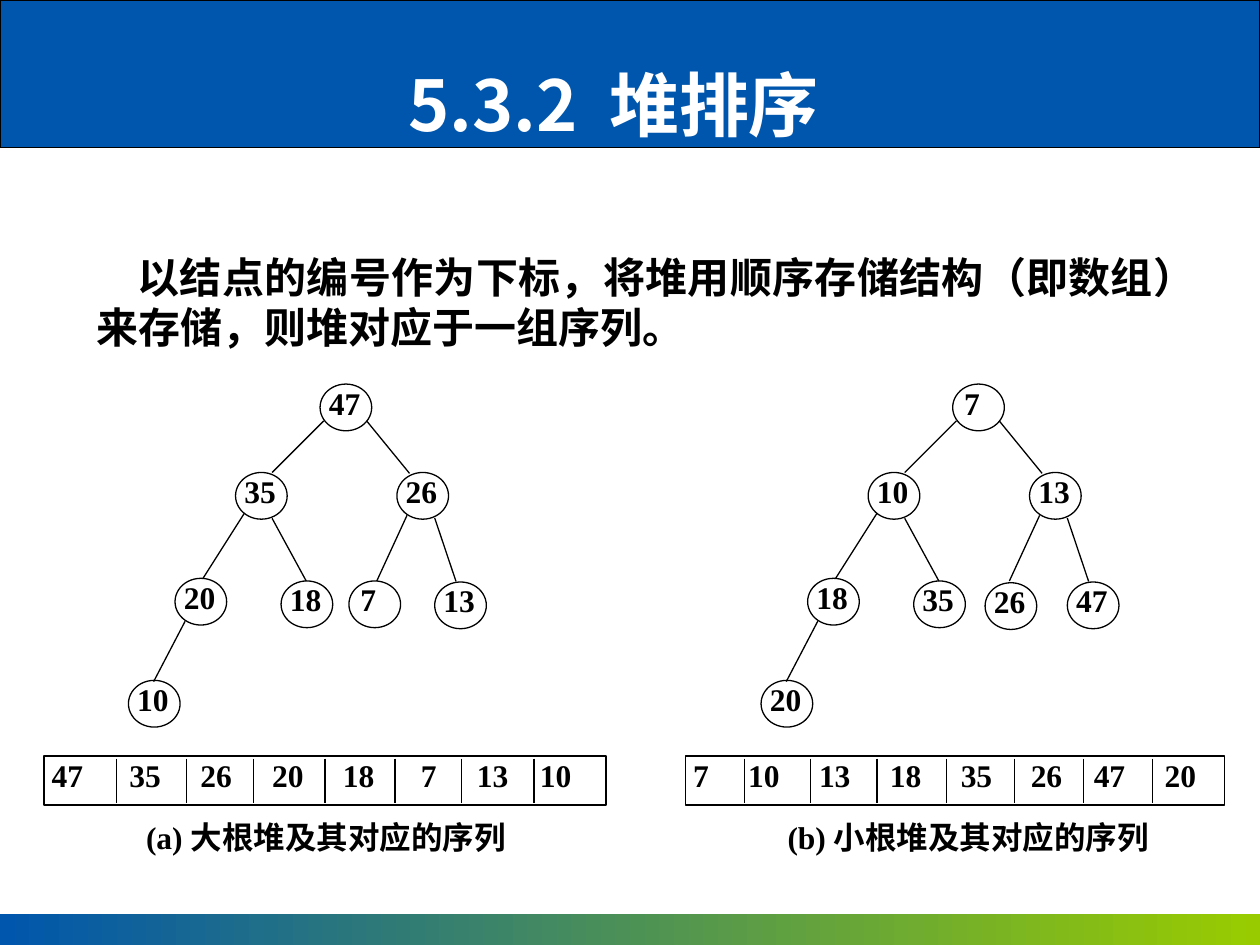
from dataclasses import dataclass

import pptx
import pptx.dml.color
import pptx.enum.shapes
import pptx.enum.text
import pptx.oxml
import pptx.oxml.ns
import pptx.util

Pt = pptx.util.Pt
RGB = pptx.dml.color.RGBColor.from_string
ALIGN = pptx.enum.text.PP_ALIGN
ANCHOR = pptx.enum.text.MSO_ANCHOR
SHAPE = pptx.enum.shapes.MSO_SHAPE
LINE = pptx.enum.shapes.MSO_CONNECTOR.STRAIGHT
qn = pptx.oxml.ns.qn


@dataclass(frozen=True)
class Theme:
    blue: str = "0056AC"
    green: str = "99CC00"
    ink: str = "000000"
    white: str = "FFFFFF"
    sans: str = "Noto Sans CJK SC"
    serif: str = "Times New Roman"
    title: int = 40
    body: int = 24
    label: int = 18
    stroke: float = 0.75


T = Theme()
WIDE, HIGH = 720, 540
TITLE = "5.3.2  堆排序"
BODY = "以结点的编号作为下标，将堆用顺序存储结构（即数组）来存储，则堆对应于一组序列。"

# Left tree in level order; the right tree is the same one moved sideways.
NODE = (29.5, 26.7)
NODES = [(182.9, 219.5), (134.6, 270), (226.8, 270), (100, 330.5),
         (160.6, 332), (199.4, 332), (248.4, 332.6), (73.4, 388.8)]
EDGES = [(185, 240.5, 155.5, 270), (209.5, 240.5, 234, 270.5),
         (139.7, 293.2, 116, 330.5), (155.5, 296.2, 175, 332),
         (232.6, 294.5, 215.3, 332), (248.4, 296, 260.6, 332.3),
         (105.8, 355, 87.8, 389.5)]

# cuts and tabs are measured from the left side of the array box
ROW_TOP, ROW_HIGH, ROW_PAD = 432, 28.1, 4.3
HEAPS = [
    dict(keys=[47, 35, 26, 20, 18, 7, 13, 10], move=0, nudge={},
         left=25.2, width=321.1,
         cuts=[41.4, 81.4, 119.5, 160.6, 200.5, 238.7, 280],
         tabs=[44.5, 85, 126, 166.5, 211, 243, 279],
         note="(a) 大根堆及其对应的序列", note_left=82.1, note_wide=240.5),
    dict(keys=[7, 10, 13, 18, 35, 26, 47, 20], move=361.5, nudge={5: (2, 1)},
         left=391.7, width=308.2,
         cuts=[33.8, 71.3, 109.4, 149, 187.9, 227.5, 267],
         tabs=[31.5, 72, 112.5, 153, 193, 229, 269.5],
         note="(b) 小根堆及其对应的序列", note_left=448.6, note_wide=219.6),
]


def write(shape, text, size, face, color=T.ink, align=ALIGN.JUSTIFY,
          pads=(7.2, 3.6, 7.2, 3.6), anchor=ANCHOR.TOP, pitch=None, tabs=()):
    frame = shape.text_frame
    frame.word_wrap = True
    frame.auto_size = pptx.enum.text.MSO_AUTO_SIZE.NONE
    frame.vertical_anchor = anchor
    (frame.margin_left, frame.margin_top,
     frame.margin_right, frame.margin_bottom) = map(Pt, pads)
    par = frame.paragraphs[0]
    par.text = text
    par.alignment = align
    par.space_before = Pt(0)
    if pitch:
        par.line_spacing = pitch
    props = par._p.get_or_add_pPr()
    if tabs:
        stops = pptx.oxml.ns.qn("a:tabLst")
        stops = props.makeelement(stops, {})
        props.append(stops)
        for pos in tabs:
            stops.append(stops.makeelement(
                qn("a:tab"), {"pos": str(int(Pt(pos))), "algn": "l"}))
    font = par.font
    font.name, font.size, font.bold = face, Pt(size), True
    font.color.rgb = RGB(color)
    latin = props.find(qn("a:defRPr")).find(qn("a:latin"))
    latin.addnext(latin.makeelement(qn("a:ea"), {"typeface": T.sans}))
    return par


def shape(kind, *box, fill=None, line=True):
    item = shapes.add_shape(kind, *map(Pt, box))
    item.shadow.inherit = False
    if fill:
        item.fill.solid()
        item.fill.fore_color.rgb = RGB(fill)
    else:
        item.fill.background()
    if line:
        item.line.color.rgb = RGB(T.ink)
        item.line.width = Pt(T.stroke)
    else:
        item.line.fill.background()
    return item


def rule(*ends):
    """Draw a thin straight line from x1, y1 to x2, y2."""
    item = shapes.add_connector(LINE, *map(Pt, ends))
    item.line.color.rgb = RGB(T.ink)
    item.line.width = Pt(T.stroke)
    props = item._element.spPr
    props.append(props.makeelement(qn("a:effectLst"), {}))


def note(*box):
    return shapes.add_textbox(*map(Pt, box))


def tree(heap):
    move = heap["move"]
    for x1, y1, x2, y2 in EDGES:
        rule(x1 + move, y1, x2 + move, y2)
    for i, (key, (x, y)) in enumerate(zip(heap["keys"], NODES)):
        dx, dy = heap["nudge"].get(i, (0, 0))
        node = shape(SHAPE.OVAL, x + move + dx, y + dy, *NODE)
        pad = 2.2 if key < 10 else 0.7
        write(node, str(key), T.label, T.serif, pads=(pad, 0, 0, 0), pitch=0.8)


def array(heap):
    left = heap["left"]
    row = shape(SHAPE.RECTANGLE, left, ROW_TOP, heap["width"], ROW_HIGH)
    write(row, "\t".join(map(str, heap["keys"])), T.label, T.serif,
          align=ALIGN.LEFT, pads=(ROW_PAD, 0, ROW_PAD, 0), tabs=heap["tabs"])
    for cut in heap["cuts"]:
        rule(left + cut, ROW_TOP + 1.5, left + cut, ROW_TOP + 26.6)
    text = note(heap["note_left"], 465.8, heap["note_wide"], 28)
    write(text, heap["note"], T.label, T.serif,
          pads=(1.4, 0.7, 1.4, 0.7), pitch=Pt(22.5))


deck = pptx.Presentation()
deck.slide_width, deck.slide_height = Pt(WIDE), Pt(HIGH)
slide = deck.slides.add_slide(deck.slide_layouts[5])
shapes = slide.shapes

shape(SHAPE.RECTANGLE, 0, 0, WIDE, 84.2, fill=T.blue)
foot = shape(SHAPE.RECTANGLE, 0, 522, WIDE, 18, line=False)
foot.fill.gradient()
foot.fill.gradient_angle = 0
for stop, color in zip(foot.fill.gradient_stops, (T.blue, T.green)):
    stop.color.rgb = RGB(color)

lead = write(note(48.2, 140, 642.2, 64.8), BODY, T.body, T.sans, pitch=Pt(28.8))
lead._p.pPr.set("indent", str(int(Pt(23.4))))

for heap in HEAPS:
    tree(heap)
    array(heap)

title = shapes.title
title.left, title.top, title.width, title.height = map(Pt, (110.5, 31.5, 480.2, 55.4))
write(title, TITLE, T.title, T.sans, T.white, ALIGN.CENTER,
      anchor=ANCHOR.MIDDLE, pitch=Pt(48))
shapes._spTree.append(title._element)  # bring the title in front of the banner

deck.save("out.pptx")
